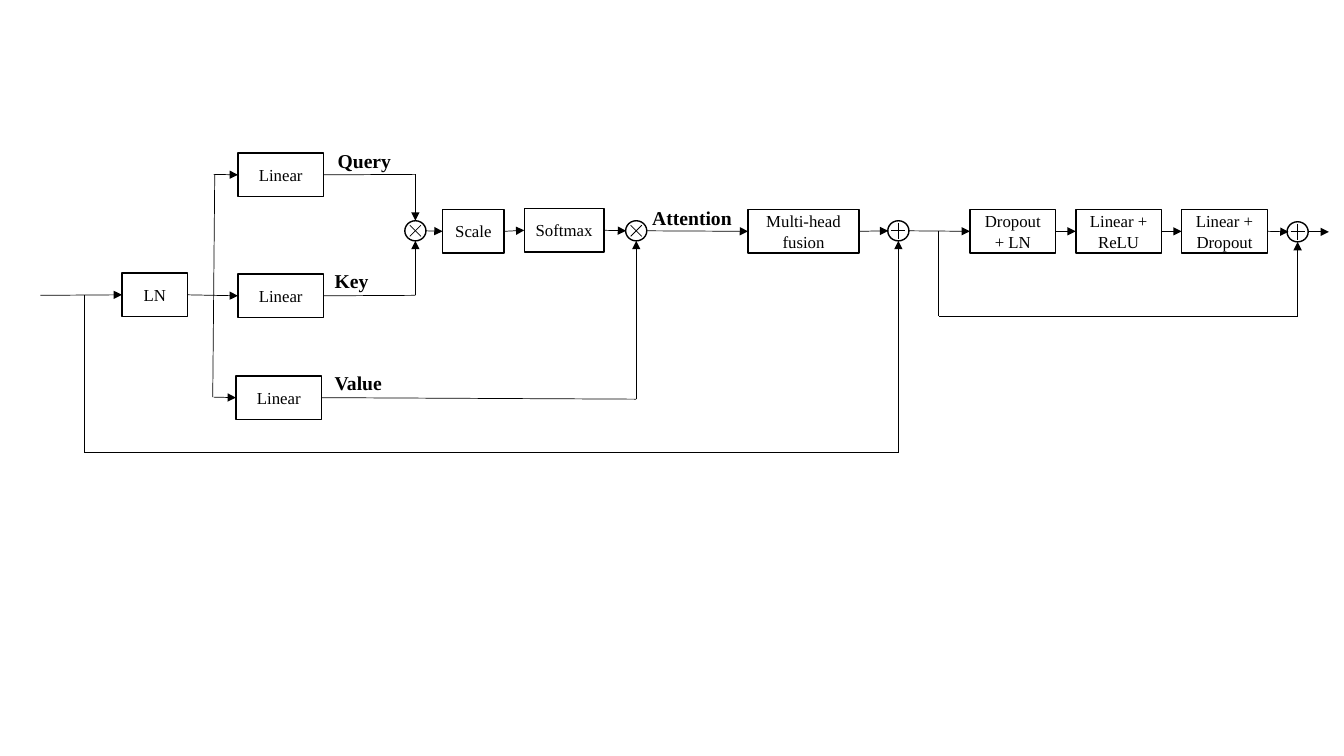
import dataclasses
import enum
import typing

import pptx
import pptx.dml.color
import pptx.enum.shapes
import pptx.enum.text
import pptx.oxml
import pptx.oxml.ns
import pptx.util

Inches = pptx.util.Inches
FONT = "Times New Roman"
BLACK, WHITE = "000000", "FFFFFF"
BOX_HEIGHT = 0.43
CIRCLE_WIDTH, CIRCLE_HEIGHT = 0.21, 0.2
ROW = 2.29  # centre line of the main chain


class Side(enum.IntEnum):
    TOP = 0
    LEFT = 1
    BOTTOM = 2
    RIGHT = 3


@dataclasses.dataclass(frozen=True)
class Box:
    name: str
    left: float
    top: float
    width: float
    lines: tuple[str, ...]


@dataclasses.dataclass(frozen=True)
class Operator:
    x: float
    y: float
    strokes: tuple[tuple[float, float], ...]  # half-vectors of the inner strokes


@dataclasses.dataclass(frozen=True)
class Label:
    left: float
    top: float
    text: str


Point = tuple[float, float]
Port = tuple[str, Side]


@dataclasses.dataclass(frozen=True)
class Wire:
    start: Point | Port
    end: Point | Port
    arrow: bool = True


TIMES = ((0.055, -0.055), (0.055, 0.055))
PLUS = ((0, 0.08), (0.07, 0))

BOXES = [
    Box("norm", 1.21, 2.71, 0.65, ("LN",)),
    Box("query", 2.36, 1.52, 0.85, ("Linear",)),
    Box("key", 2.36, 2.72, 0.85, ("Linear",)),
    Box("value", 2.34, 3.73, 0.85, ("Linear",)),
    Box("scale", 4.39, 2.08, 0.61, ("Scale",)),
    Box("softmax", 5.2, 2.07, 0.79, ("Softmax",)),
    Box("fusion", 7.42, 2.08, 1.1, ("Multi-head fusion",)),
] + [
    Box(name, 9.62 + 1.05 * index, 2.08, 0.85, lines)
    for index, (name, lines) in enumerate([
        ("dropout", ("Dropout + LN",)),
        ("relu", ("Linear +", "ReLU")),
        ("output", ("Linear +", "Dropout")),
    ])
]

OPERATORS = [
    Operator(4.12, ROW, TIMES),
    Operator(6.31, ROW, TIMES),
    Operator(8.91, ROW, PLUS),
    Operator(12.87, 2.3, PLUS),
]

LABELS = [
    Label(3.25, 1.43, "Query"),
    Label(3.22, 2.62, "Key"),
    Label(3.22, 3.63, "Value"),
    Label(6.37, 1.99, "Attention"),
]

WIRES = [
    # input and branches to query, key and value
    Wire((0.4, 2.93), ("norm", Side.LEFT)),
    Wire(("norm", Side.RIGHT), ("key", Side.LEFT)),
    Wire((2.13, 1.73), (2.11, 3.94), arrow=False),
    Wire((2.12, 1.73), ("query", Side.LEFT)),
    Wire((2.12, 3.94), ("value", Side.LEFT)),
    # attention
    Wire(("query", Side.RIGHT), (4.12, 1.73), arrow=False),
    Wire((4.12, 1.73), (4.12, 2.19)),
    Wire(("key", Side.RIGHT), (4.12, 2.93), arrow=False),
    Wire((4.12, 2.93), (4.12, 2.39)),
    Wire((4.22, ROW), ("scale", Side.LEFT)),
    Wire(("scale", Side.RIGHT), ("softmax", Side.LEFT)),
    Wire(("softmax", Side.RIGHT), (6.21, ROW)),
    Wire(("value", Side.RIGHT), (6.31, 3.96), arrow=False),
    Wire((6.31, 3.96), (6.31, 2.39)),
    Wire((6.41, ROW), ("fusion", Side.LEFT)),
    Wire(("fusion", Side.RIGHT), (8.81, ROW)),
    # first skip path
    Wire((0.84, 2.93), (0.84, 4.49), arrow=False),
    Wire((0.84, 4.49), (8.91, 4.49), arrow=False),
    Wire((8.91, 4.49), (8.91, 2.39)),
    # feed-forward chain
    Wire((9.01, ROW), ("dropout", Side.LEFT)),
    Wire(("dropout", Side.RIGHT), ("relu", Side.LEFT)),
    Wire(("relu", Side.RIGHT), ("output", Side.LEFT)),
    Wire(("output", Side.RIGHT), (12.78, 2.3)),
    Wire((12.97, 2.3), (13.18, 2.3)),
    # second skip path
    Wire((9.31, ROW), (9.31, 3.14), arrow=False),
    Wire((9.31, 3.14), (12.87, 3.14), arrow=False),
    Wire((12.87, 3.14), (12.87, 2.4)),
]


def color(value: str) -> pptx.dml.color.RGBColor:
    return pptx.dml.color.RGBColor.from_string(value)


def add_run(paragraph: typing.Any, text: str, size: float, bold: bool = False) -> None:
    run = paragraph.add_run()
    run.text = text
    run.font.name = FONT
    run.font.size = pptx.util.Pt(size)
    run.font.bold = bold
    run.font.color.rgb = color(BLACK)


def add_outlined(slide: typing.Any, kind: typing.Any, left: float, top: float,
                 width: float, height: float) -> typing.Any:
    """Add a white shape with a thin black outline."""
    shape = slide.shapes.add_shape(
        kind, Inches(left), Inches(top), Inches(width), Inches(height))
    shape.shadow.inherit = False
    shape.fill.solid()
    shape.fill.fore_color.rgb = color(WHITE)
    shape.line.color.rgb = color(BLACK)
    shape.line.width = pptx.util.Pt(1)
    return shape


def add_box(slide: typing.Any, box: Box) -> typing.Any:
    shape = add_outlined(slide, pptx.enum.shapes.MSO_SHAPE.RECTANGLE,
                         box.left, box.top, box.width, BOX_HEIGHT)
    frame = shape.text_frame
    frame.word_wrap = True
    frame.vertical_anchor = pptx.enum.text.MSO_ANCHOR.MIDDLE
    for index, line in enumerate(box.lines):
        paragraph = frame.add_paragraph() if index else frame.paragraphs[0]
        paragraph.alignment = pptx.enum.text.PP_ALIGN.CENTER
        add_run(paragraph, line, 12)
    return shape


def add_wire(slide: typing.Any, wire: Wire, shapes: dict[str, typing.Any]) -> None:
    connector = slide.shapes.add_connector(
        pptx.enum.shapes.MSO_CONNECTOR.STRAIGHT, 0, 0, 0, 0)
    connector.begin_x, connector.begin_y, connector.end_x, connector.end_y = (
        0 if isinstance(end[0], str) else Inches(value)
        for end in (wire.start, wire.end) for value in end)
    for end, connect in ((wire.start, connector.begin_connect),
                         (wire.end, connector.end_connect)):
        if isinstance(end[0], str):
            connect(shapes[end[0]], int(end[1]))
    connector.line.color.rgb = color(BLACK)
    connector.line.width = pptx.util.Pt(0.5)
    if wire.arrow:
        line = connector.line._get_or_add_ln()
        line.append(pptx.oxml.parse_xml(
            f'<a:tailEnd {pptx.oxml.ns.nsdecls("a")} type="triangle"/>'))
    connector._element.spPr.append(
        pptx.oxml.parse_xml(f'<a:effectLst {pptx.oxml.ns.nsdecls("a")}/>'))


def add_operator(slide: typing.Any, operator: Operator) -> None:
    x, y = operator.x, operator.y
    add_outlined(slide, pptx.enum.shapes.MSO_SHAPE.OVAL, x - CIRCLE_WIDTH / 2,
                 y - CIRCLE_HEIGHT / 2, CIRCLE_WIDTH, CIRCLE_HEIGHT)
    for dx, dy in operator.strokes:
        add_wire(slide, Wire((x - dx, y - dy), (x + dx, y + dy), arrow=False), {})


def add_label(slide: typing.Any, label: Label) -> None:
    text_box = slide.shapes.add_textbox(
        Inches(label.left), Inches(label.top), Inches(1.02), Inches(0.34))
    text_box.text_frame.word_wrap = True
    add_run(text_box.text_frame.paragraphs[0], label.text, 14, bold=True)


def main() -> None:
    presentation = pptx.Presentation()
    presentation.slide_width = Inches(13.33)
    presentation.slide_height = Inches(7.5)
    slide = presentation.slides.add_slide(presentation.slide_layouts[6])
    shapes = {box.name: add_box(slide, box) for box in BOXES}
    for operator in OPERATORS:
        add_operator(slide, operator)
    for wire in WIRES:
        add_wire(slide, wire, shapes)
    for label in LABELS:
        add_label(slide, label)
    presentation.save("out.pptx")


if __name__ == "__main__":
    main()
